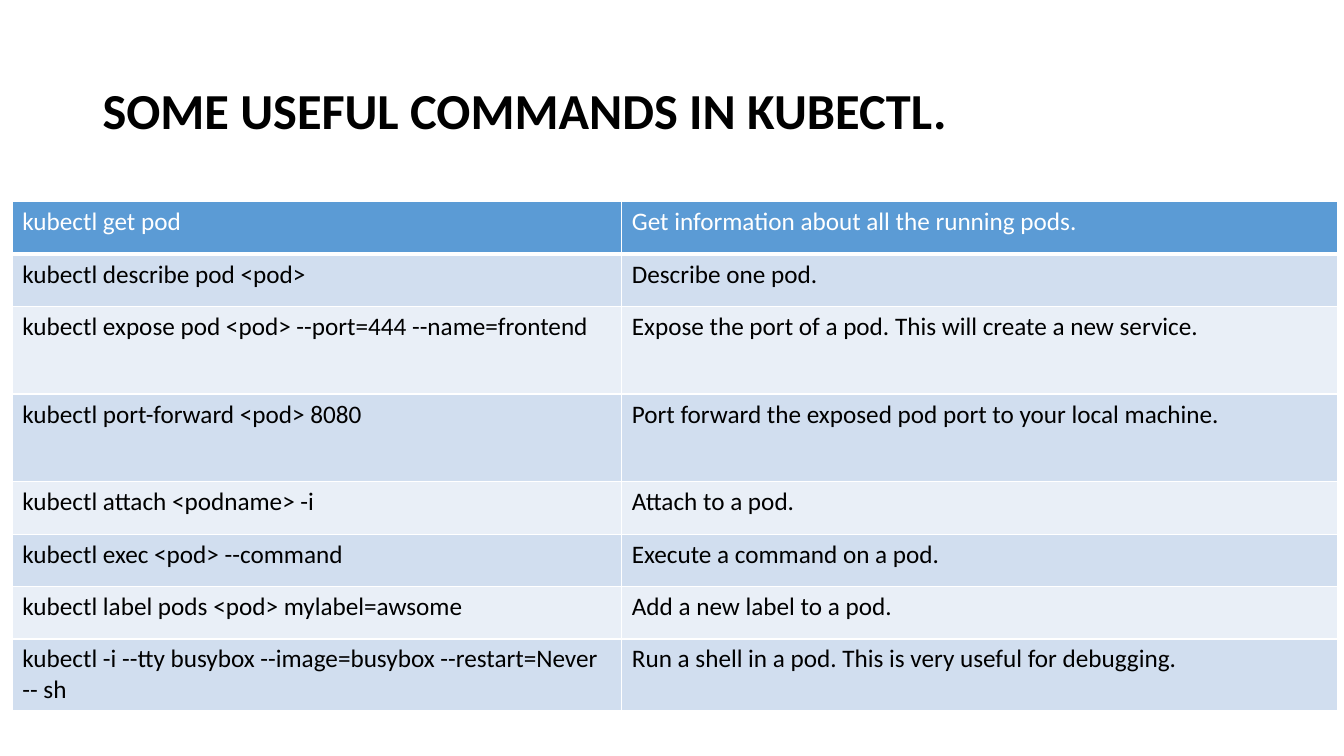
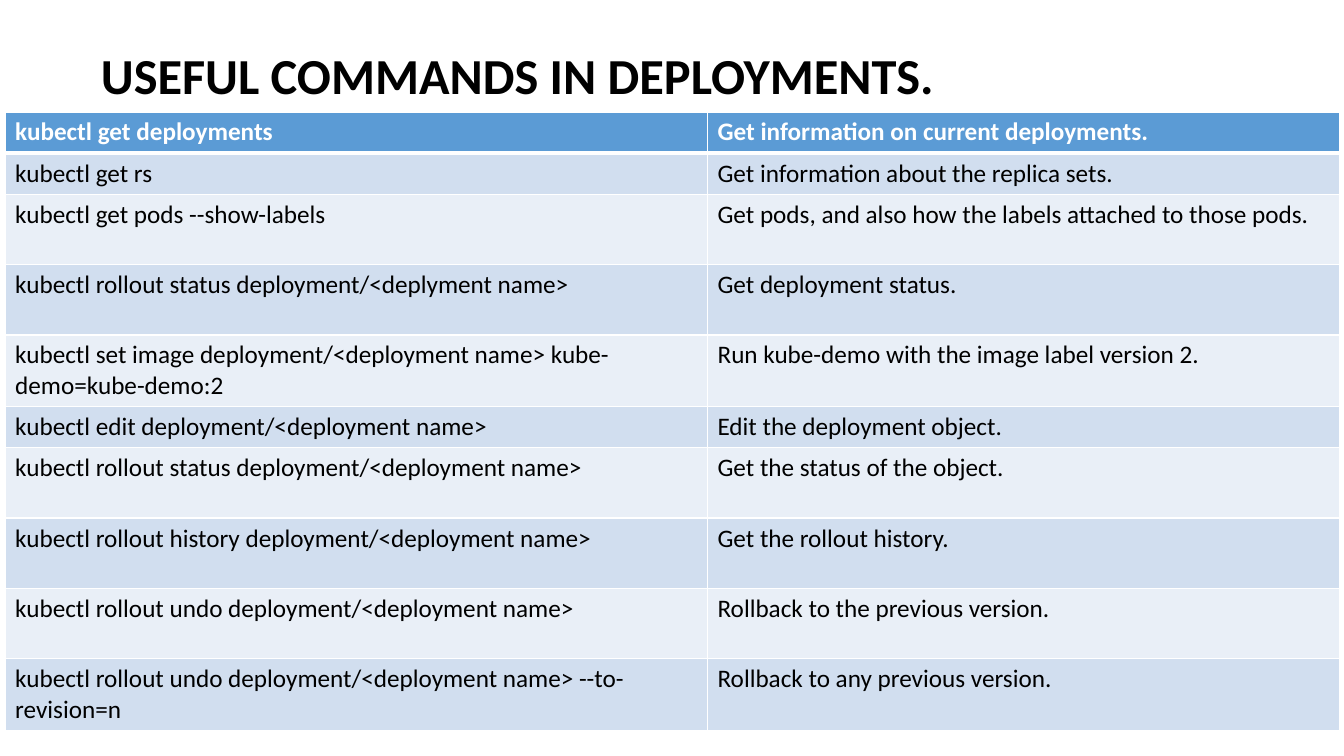
from lxml import etree
from pptx import Presentation
from pptx.dml.color import RGBColor
from pptx.enum.text import MSO_ANCHOR, MSO_AUTO_SIZE, PP_ALIGN
from pptx.oxml.ns import qn
from pptx.util import Cm, Pt

LEFT = PP_ALIGN.LEFT
MIDDLE = MSO_ANCHOR.MIDDLE
NO_AUTOFIT = MSO_AUTO_SIZE.NONE
TITLE_ONLY = 5

COLORS = {
    "text": "000000",
    "header_text": "FFFFFF",
    "border": "FFFFFF",
    "header": "5B9BD5",
    "odd_row": "D1DEEF",
    "even_row": "E9EFF7",
}
FONT = "Calibri"
THIN, THICK = 0.96, 3
TITLE_WIDTH, TITLE_HEIGHT = 29.21, 3.68

SLIDES = [
    {
        "title": "SOME USEFUL COMMANDS IN KUBECTL.",
        "title_at": (2.33, 1.01),
        "table_at": (0.31, 5.08),
        "columns": (15.36, 18.05),
        "header_bold": False,
        "rows": [
            (1.32, "kubectl get pod", "Get information about all the running pods."),
            (1.32, "kubectl describe pod <pod>", "Describe one pod."),
            (2.21, "kubectl expose pod <pod> --port=444 --name=frontend",
             "Expose the port of a pod. This will create a new service."),
            (2.21, "kubectl port-forward <pod> 8080",
             "Port forward the exposed pod port to your local machine."),
            (1.32, "kubectl attach <podname> -i", "Attach to a pod."),
            (1.32, "kubectl exec <pod> --command", "Execute a command on a pod."),
            (1.32, "kubectl label pods <pod> mylabel=awsome", "Add a new label to a pod."),
            (1.8, "kubectl -i --tty busybox --image=busybox --restart=Never -- sh",
             "Run a shell in a pod. This is very useful for debugging."),
        ],
    },
    {
        "title": "USEFUL COMMANDS IN DEPLOYMENTS.",
        "title_at": (2.29, 0.13),
        "table_at": (0.13, 2.82),
        "columns": (17.7, 15.93),
        "header_bold": True,
        "rows": [
            (1.04, "kubectl get deployments", "Get information on current deployments."),
            (1.04, "kubectl get rs", "Get information about the replica sets."),
            (1.77, "kubectl get pods --show-labels",
             "Get pods, and also how the labels attached to those pods."),
            (1.77, "kubectl rollout status deployment/<deplyment name>",
             "Get deployment status."),
            (1.8, "kubectl set image deployment/<deployment name> kube-demo=kube-demo:2",
             "Run kube-demo with the image label version 2."),
            (1.04, "kubectl edit deployment/<deployment name>", "Edit the deployment object."),
            (1.77, "kubectl rollout status deployment/<deployment name>",
             "Get the status of the object."),
            (1.77, "kubectl rollout history deployment/<deployment name>",
             "Get the rollout history."),
            (1.77, "kubectl rollout undo deployment/<deployment name>",
             "Rollback to the previous version."),
            (1.8, "kubectl rollout undo deployment/<deployment name> --to-revision=n",
             "Rollback to any previous version."),
        ],
    },
]


def write(frame, text, size=18, color="text", bold=False, spacing=1.0):
    frame.word_wrap = True
    paragraph = frame.paragraphs[0]
    paragraph.alignment = LEFT
    paragraph.line_spacing = spacing
    run = paragraph.add_run()
    run.text = text
    run.font.name = FONT
    run.font.size = Pt(size)
    run.font.bold = bold
    run.font.color.rgb = RGBColor.from_string(COLORS[color])


def add_borders(cell, top=THIN, bottom=THIN):
    properties = cell._tc.get_or_add_tcPr()
    for side, width in (("L", THIN), ("R", THIN), ("T", top), ("B", bottom)):
        line = etree.SubElement(properties, qn(f"a:ln{side}"), w=str(int(Pt(width))))
        fill = etree.SubElement(line, qn("a:solidFill"))
        etree.SubElement(fill, qn("a:srgbClr"), val=COLORS["border"])


presentation = Presentation()
presentation.slide_width = Cm(33.87)
presentation.slide_height = Cm(19.05)

for content in SLIDES:
    slide = presentation.slides.add_slide(presentation.slide_layouts[TITLE_ONLY])

    title = slide.shapes.title
    title.left, title.top = (Cm(value) for value in content["title_at"])
    title.width, title.height = Cm(TITLE_WIDTH), Cm(TITLE_HEIGHT)
    title.text_frame.vertical_anchor = MIDDLE
    title.text_frame.auto_size = NO_AUTOFIT
    write(title.text_frame, content["title"], size=36, bold=True, spacing=0.9)

    rows, columns = content["rows"], content["columns"]
    left, top = content["table_at"]
    commands = slide.shapes.add_table(
        len(rows), len(columns), Cm(left), Cm(top),
        Cm(sum(columns)), Cm(sum(row[0] for row in rows)),
    ).table
    for column, width in zip(commands.columns, columns):
        column.width = Cm(width)

    for index, (height, *texts) in enumerate(rows):
        commands.rows[index].height = Cm(height)
        is_header = index == 0
        band = "header" if is_header else "odd_row" if index % 2 else "even_row"
        for cell, text in zip(commands.rows[index].cells, texts):
            add_borders(cell, top=THICK if index == 1 else THIN,
                        bottom=THICK if is_header else THIN)
            cell.fill.solid()
            cell.fill.fore_color.rgb = RGBColor.from_string(COLORS[band])
            write(cell.text_frame, text,
                  color="header_text" if is_header else "text",
                  bold=is_header and content["header_bold"])

presentation.save("out.pptx")
